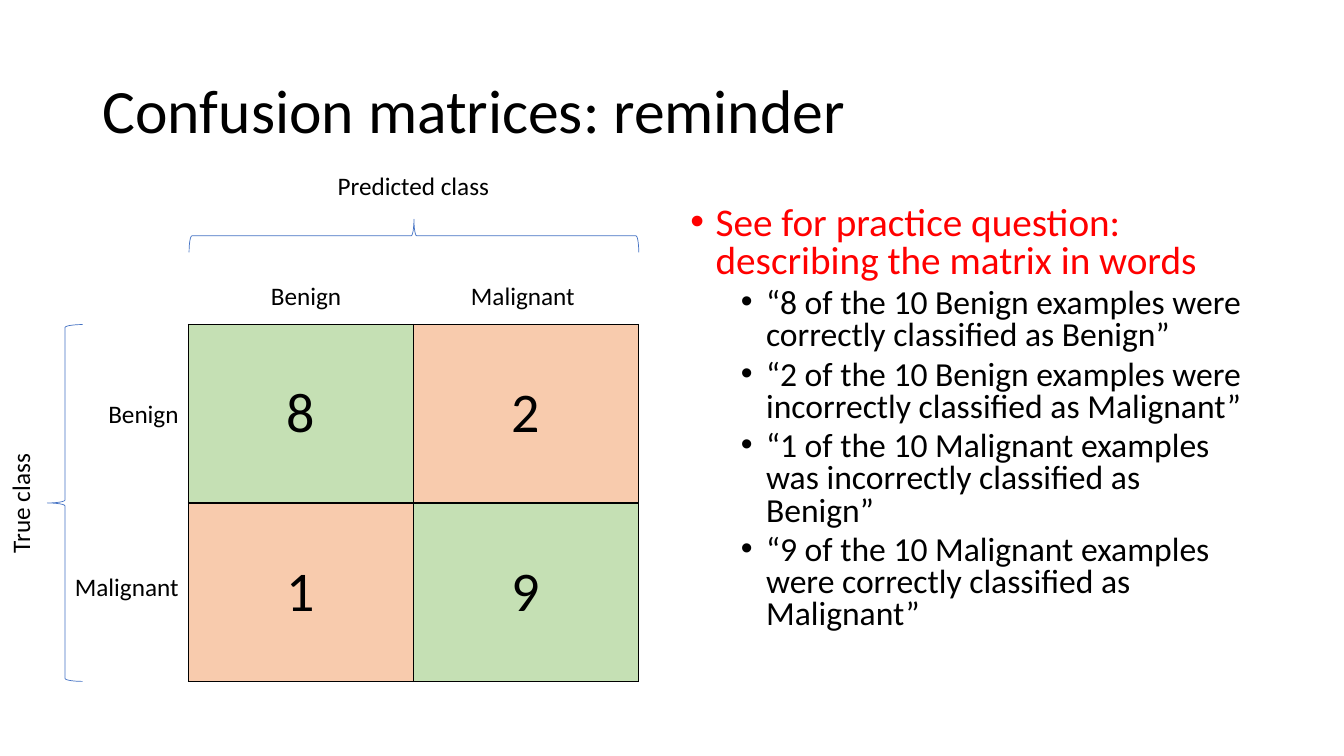
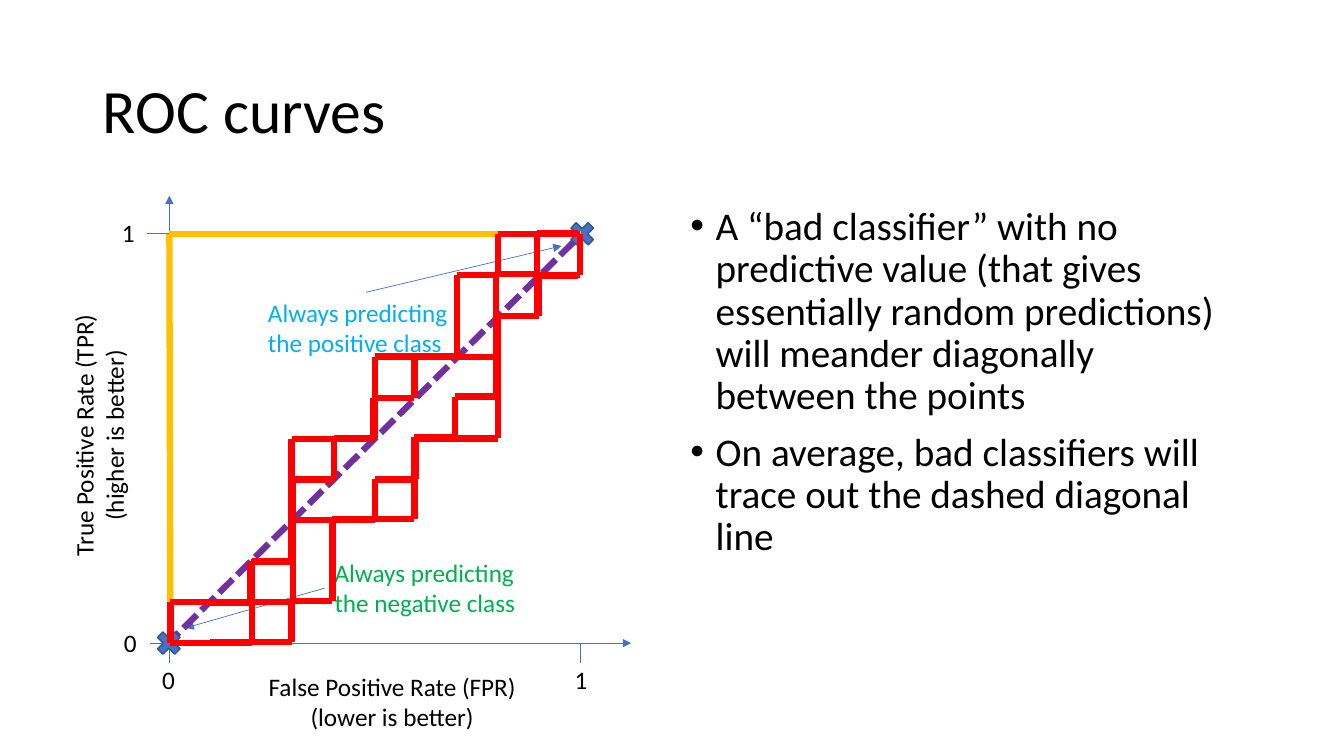
from lxml.etree import SubElement
from pptx import Presentation
from pptx.dml.color import RGBColor
from pptx.enum.dml import MSO_LINE
from pptx.enum.shapes import MSO_CONNECTOR, MSO_SHAPE
from pptx.enum.text import MSO_ANCHOR, PP_ALIGN
from pptx.oxml.ns import qn
from pptx.util import Inches, Pt

FONT = "Calibri"
BLACK = RGBColor(0x00, 0x00, 0x00)
RED = RGBColor(0xFF, 0x00, 0x00)
BLUE = RGBColor(0x44, 0x72, 0xC4)
DARK_BLUE = RGBColor(0x32, 0x54, 0x91)
SKY = RGBColor(0x00, 0xB0, 0xF0)
LEAF = RGBColor(0x00, 0xB0, 0x50)
GOLD = RGBColor(0xFF, 0xC0, 0x00)
PURPLE = RGBColor(0x70, 0x30, 0xA0)
GREEN_FILL = RGBColor(0xC5, 0xE0, 0xB4)
ORANGE_FILL = RGBColor(0xF8, 0xCB, 0xAD)
LEFT, CENTER, RIGHT = PP_ALIGN.LEFT, PP_ALIGN.CENTER, PP_ALIGN.RIGHT


def add_text(s, text, x, y, w, h, size=18, color=BLACK, align=LEFT, upward=False, wrap=True):
    sp = s.shapes.add_textbox(Inches(x), Inches(y), Inches(w), Inches(h))
    tf = sp.text_frame
    tf.word_wrap = wrap
    if upward:
        tf._txBody.bodyPr.set("vert", "vert270")
    tf.text = text
    for p in tf.paragraphs:
        p.alignment = align
        for r in p.runs:
            r.font.name = FONT
            r.font.size = Pt(size)
            r.font.color.rgb = color
    return sp


def add_line(s, x1, y1, x2, y2, color=BLUE, width=0.5, arrow=False):
    line = s.shapes.add_connector(
        MSO_CONNECTOR.STRAIGHT, Inches(x1), Inches(y1), Inches(x2), Inches(y2))
    line.line.color.rgb = color
    line.line.width = Pt(width)
    if arrow:
        SubElement(line.line._get_or_add_ln(), qn("a:tailEnd"), type="triangle")
    SubElement(line._element.spPr, qn("a:effectLst"))
    return line


prs = Presentation()
prs.slide_width = Inches(13.33)
prs.slide_height = Inches(7.5)

PAGES = [
    ("Confusion matrices: reminder", 0.8, [
        (0, RED, "See for practice question: describing the matrix in words"),
        (1, BLACK, "“8 of the 10 Benign examples were correctly classified as Benign”"),
        (1, BLACK, "“2 of the 10 Benign examples were incorrectly classified as Malignant”"),
        (1, BLACK, "“1 of the 10 Malignant examples was incorrectly classified as Benign”"),
        (1, BLACK, "“9 of the 10 Malignant examples were correctly classified as Malignant”"),
    ]),
    ("ROC curves", 0.9, [
        (0, BLACK, "A “bad classifier” with no predictive value (that gives essentially "
                   "random predictions) will meander diagonally between the points"),
        (0, BLACK, "On average, bad classifiers will trace out the dashed diagonal line"),
    ]),
]
for title, spacing, bullets in PAGES:
    s = prs.slides.add_slide(prs.slide_layouts[6])
    tf = add_text(s, title, 0.92, 0.4, 11.5, 1.45, 44).text_frame
    tf.vertical_anchor = MSO_ANCHOR.MIDDLE
    tf.paragraphs[0].line_spacing = 0.9
    body = "\n".join(text for level, color, text in bullets)
    tf = add_text(s, body, 6.75, 2, 5.67, 4.76, 28).text_frame
    for p, (level, color, text) in zip(tf.paragraphs, bullets):
        p.level = level
        p.line_spacing = spacing
        p.space_before = Pt(5 if level else 10)
        p.runs[0].font.size = Pt(24 if level else 28)
        p.runs[0].font.color.rgb = color
        pPr = p._p.get_or_add_pPr()
        pPr.set("marL", str(Inches(0.25 + 0.5 * level)))
        pPr.set("indent", str(Inches(-0.25)))
        SubElement(pPr, qn("a:buFont"), typeface="Arial")
        SubElement(pPr, qn("a:buChar"), char="•")

matrix_slide, roc_slide = prs.slides

s = matrix_slide
frame = s.shapes.add_table(2, 2, Inches(1.87), Inches(3.22), Inches(4.46), Inches(3.54))
table = frame.table
table.first_row = False
table.horz_banding = False
for i, row in enumerate([("8", "2"), ("1", "9")]):
    table.rows[i].height = Inches(1.77)
    for j, count in enumerate(row):
        cell = table.cell(i, j)
        cell.text = count
        cell.vertical_anchor = MSO_ANCHOR.MIDDLE
        p = cell.text_frame.paragraphs[0]
        p.alignment = CENTER
        r = p.runs[0]
        r.font.name = FONT
        r.font.size = Pt(40)
        r.font.color.rgb = BLACK
        tcPr = cell._tc.get_or_add_tcPr()
        for side in ("lnL", "lnR", "lnT", "lnB"):
            ln = SubElement(tcPr, qn(f"a:{side}"), w=str(Pt(1)))
            SubElement(SubElement(ln, qn("a:solidFill")), qn("a:srgbClr"), val=str(BLACK))
        cell.fill.solid()
        cell.fill.fore_color.rgb = GREEN_FILL if i == j else ORANGE_FILL

for x, y, w, h, rotation in [(0.47, 3.22, 0.35, 3.54, 0), (3.94, 0.11, 0.33, 4.46, 90)]:
    brace = s.shapes.add_shape(MSO_SHAPE.LEFT_BRACE, Inches(x), Inches(y), Inches(w), Inches(h))
    brace.rotation = rotation
    brace.shadow.inherit = False
    brace.fill.background()
    brace.line.color.rgb = BLUE
    brace.line.width = Pt(0.5)

add_text(s, "True class", 0, 4.15, 0.4, 1.69, align=CENTER, upward=True)
add_text(s, "Predicted class", 2.95, 1.64, 2.3, 0.4, align=CENTER)
for name, row_y, column_x in [("Benign", 3.9, 2.19), ("Malignant", 5.62, 4.34)]:
    add_text(s, name, 0.18, row_y, 1.69, 0.4, align=RIGHT)
    add_text(s, name, column_x, 2.73, 1.69, 0.4, align=CENTER)

s = roc_slide
X0, X1, Y0, Y1 = 1.68, 5.76, 6.38, 2.32
add_line(s, X0, Y0, X0, 1.94, arrow=True)
add_line(s, X0, Y0, 6.26, Y0, arrow=True)
for x in (X0, X1):
    add_line(s, x, 6.58, x, Y0)
for y, x in [(Y0, 1.49), (Y1, 1.46)]:
    add_line(s, X0, y, x, y)
for digit, x, y in [("1", 1.11, 2.11), ("0", 1.13, 6.17), ("1", 5.6, 6.54), ("0", 1.51, 6.54)]:
    add_text(s, digit, x, y, 0.33, 0.4, wrap=False)
add_text(s, "False Positive Rate (FPR)\n(lower is better)", 2.29, 6.61, 3.2, 0.71, align=CENTER)
add_text(s, "True Positive Rate (TPR)\n(higher is better)", 0.63, 2.72, 0.71, 3.2,
         align=CENTER, upward=True)

for x, y in [(1.51, 6.22), (5.61, 2.16)]:
    cross = s.shapes.add_shape(
        MSO_SHAPE.MATH_MULTIPLY, Inches(x), Inches(y), Inches(0.33), Inches(0.32))
    cross.shadow.inherit = False
    cross.fill.solid()
    cross.fill.fore_color.rgb = BLUE
    cross.line.color.rgb = DARK_BLUE
    cross.line.width = Pt(1)

for word, color, x, y, side, tip_x, tip_y in [
    ("negative", LEAF, 3.22, 5.48, 1, 1.84, 6.23),
    ("positive", SKY, 2.56, 2.9, 0, 5.57, 2.44),
]:
    sp = add_text(s, f"Always predicting the {word} class", x, y, 2.14, 0.71, color=color)
    add_line(s, x, y, tip_x, tip_y, arrow=True).begin_connect(sp, side)

add_line(s, X0, Y1, 1.69, Y0, GOLD, 4.5)
add_line(s, X0, Y1, X1, Y1, GOLD, 4.5)
diagonal = add_line(s, 5.69, 2.4, 1.76, 6.29, PURPLE, 4.5)
diagonal.line.dash_style = MSO_LINE.SQUARE_DOT

STEP = (Y0 - Y1) / 10
WALKS = [
    (1.69, 6.38, "URRURURRURURRUUURURU"),
    (1.69, 6.38, "RRURUUURURUURRUURURR"),
    (2.08, 5.98, "RURUUURRURURRURUR"),
    (2.08, 6.37, "RRURUURRUURURUUURUR"),
]
for x, y, moves in WALKS:
    for move in moves:
        next_x = x + STEP if move == "R" else x
        next_y = y - STEP if move == "U" else y
        add_line(s, x, y, next_x, next_y, RED, 4.5)
        x, y = next_x, next_y

prs.save("out.pptx")
